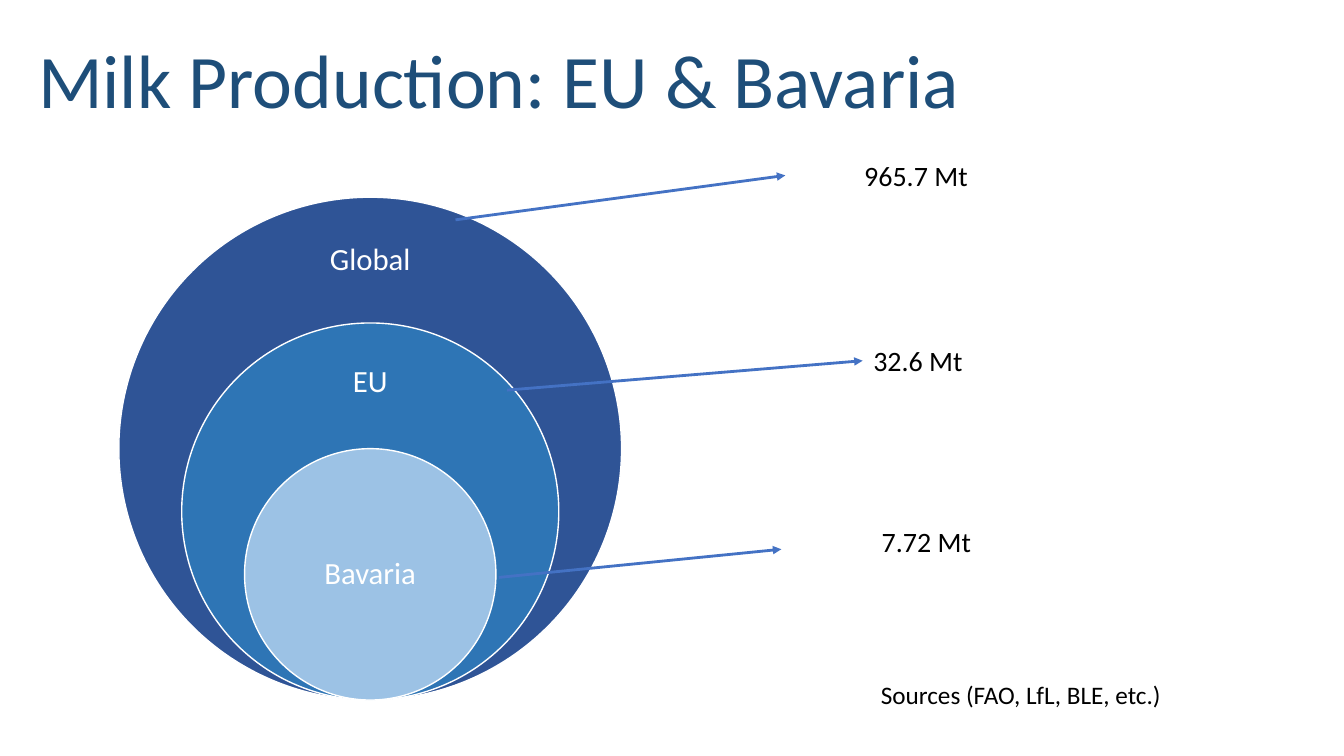
from typing import NamedTuple

from lxml.etree import SubElement
from pptx import Presentation
from pptx.dml.color import RGBColor
from pptx.enum.shapes import MSO_CONNECTOR, MSO_SHAPE
from pptx.enum.text import MSO_ANCHOR, PP_ALIGN
from pptx.oxml.ns import qn
from pptx.slide import Slide
from pptx.util import Cm, Pt

TITLE_BLUE = RGBColor(0x1E, 0x4E, 0x79)
GLOBAL_BLUE = RGBColor(0x2F, 0x54, 0x96)
EU_BLUE = RGBColor(0x2E, 0x75, 0xB5)
BAVARIA_BLUE = RGBColor(0x9C, 0xC2, 0xE5)
ARROW_BLUE = RGBColor(0x44, 0x72, 0xC4)
WHITE = RGBColor(0xFF, 0xFF, 0xFF)
BLACK = RGBColor(0, 0, 0)

FONT = "Calibri"
CENTER_X = 9.33
BOTTOM_Y = 17.64
GLOBAL_DIAMETER = 12.67
NAME_WIDTH = 4.45
VOLUME_HEIGHT = 1.12


class Area(NamedTuple):
    """Left, top, width and height in centimetres."""
    left: float
    top: float
    width: float
    height: float


class Region(NamedTuple):
    name: str
    scale: float
    color: RGBColor
    name_top: float
    name_height: float
    volume: str
    volume_left: float
    volume_top: float
    volume_width: float
    arrow_start: tuple[float, float]
    arrow_end: tuple[float, float]


REGIONS = [
    Region("Global", 1, GLOBAL_BLUE, 5.61, 1.9,
           "965.7 Mt", 21.51, 3.86, 3.15, (11.48, 5.54), (19.79, 4.42)),
    Region("EU", 0.75, EU_BLUE, 8.74, 1.78,
           "32.6 Mt", 21.74, 8.53, 2.79, (12.78, 9.83), (21.74, 9.09)),
    Region("Bavaria", 0.5, BAVARIA_BLUE, 12.9, 3.18,
           "7.72 Mt", 21.95, 13.08, 2.79, (12.57, 14.55), (19.69, 13.84)),
]


def add_text(page: Slide, text: str, area: Area, *, size: float,
             color: RGBColor = BLACK, align: PP_ALIGN = PP_ALIGN.LEFT,
             anchor: MSO_ANCHOR = MSO_ANCHOR.TOP, wrap: bool = True,
             line_spacing: float = 1.0) -> None:
    box = page.shapes.add_textbox(*map(Cm, area))
    frame = box.text_frame
    frame.word_wrap = wrap
    frame.vertical_anchor = anchor
    para = frame.paragraphs[0]
    para.alignment = align
    para.line_spacing = line_spacing
    span = para.add_run()
    span.text = text
    span.font.name = FONT
    span.font.size = Pt(size)
    span.font.color.rgb = color


def add_circle(page: Slide, region: Region) -> None:
    """Draw a region's circle, resting on the shared bottom point, with its name."""
    diameter = GLOBAL_DIAMETER * region.scale
    circle = page.shapes.add_shape(
        MSO_SHAPE.OVAL, Cm(CENTER_X - diameter / 2), Cm(BOTTOM_Y - diameter),
        Cm(diameter), Cm(diameter))
    circle.shadow.inherit = False
    circle.fill.solid()
    circle.fill.fore_color.rgb = region.color
    circle.line.color.rgb = WHITE
    circle.line.width = Pt(1)
    name_area = Area(CENTER_X - NAME_WIDTH / 2, region.name_top,
                     NAME_WIDTH, region.name_height)
    add_text(page, region.name, name_area, size=22, color=WHITE,
             align=PP_ALIGN.CENTER, anchor=MSO_ANCHOR.MIDDLE, line_spacing=0.9)


def add_arrow(page: Slide, start: tuple[float, float],
              end: tuple[float, float]) -> None:
    arrow = page.shapes.add_connector(
        MSO_CONNECTOR.STRAIGHT, *map(Cm, start + end))
    arrow.line.color.rgb = ARROW_BLUE
    arrow.line.width = Pt(2)
    SubElement(arrow.line._get_or_add_ln(), qn("a:tailEnd"), type="triangle")
    SubElement(arrow._element.spPr, qn("a:effectLst"))


def main() -> None:
    deck = Presentation()
    deck.slide_width = Cm(33.87)
    deck.slide_height = Cm(19.05)
    page = deck.slides.add_slide(deck.slide_layouts[6])

    add_text(page, "Milk Production: EU & Bavaria",
             Area(0.71, 0.71, 28.3, 2.57), size=54, color=TITLE_BLUE)
    for region in REGIONS:
        add_circle(page, region)
    for region in REGIONS:
        volume_area = Area(region.volume_left, region.volume_top,
                           region.volume_width, VOLUME_HEIGHT)
        add_text(page, region.volume, volume_area, size=20,
                 align=PP_ALIGN.CENTER, wrap=False)
        add_arrow(page, region.arrow_start, region.arrow_end)
    add_text(page, "Sources (FAO, LfL, BLE, etc.)",
             Area(21.95, 16.99, 9.04, 1.02), size=18)

    deck.save("out.pptx")


if __name__ == "__main__":
    main()
